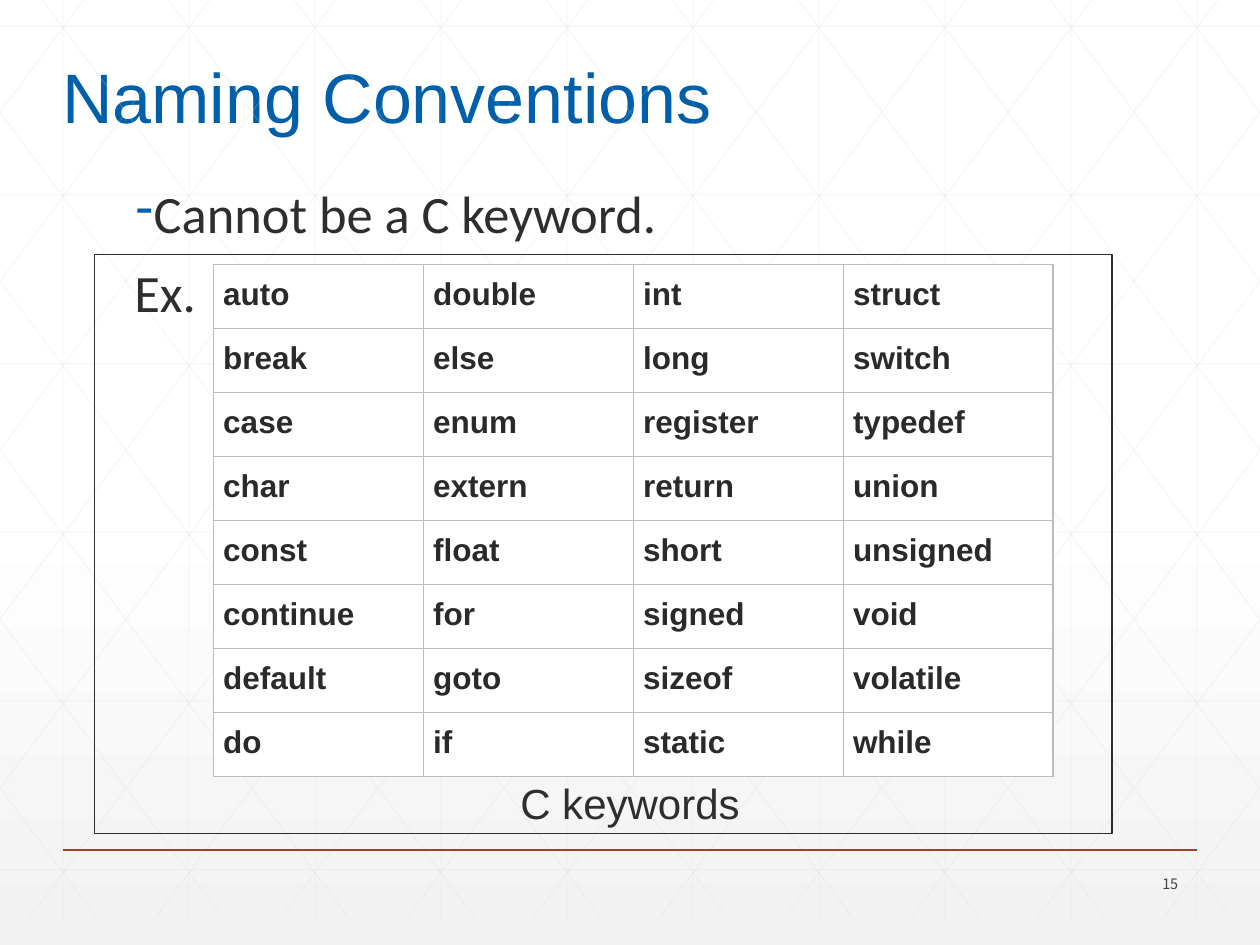
from copy import deepcopy

from lxml import etree
from pptx import Presentation
from pptx.dml.color import RGBColor
from pptx.enum.shapes import MSO_CONNECTOR, MSO_SHAPE
from pptx.enum.text import MSO_ANCHOR, MSO_AUTO_SIZE, PP_ALIGN
from pptx.oxml.ns import qn
from pptx.util import Cm, Pt

LINE, RECT = MSO_CONNECTOR.STRAIGHT, MSO_SHAPE.RECTANGLE
LEFT, CENTER, RIGHT = PP_ALIGN.LEFT, PP_ALIGN.CENTER, PP_ALIGN.RIGHT
MIDDLE, BOTTOM = MSO_ANCHOR.MIDDLE, MSO_ANCHOR.BOTTOM
GROW = MSO_AUTO_SIZE.SHAPE_TO_FIT_TEXT

WHITE = RGBColor(0xFF, 0xFF, 0xFF)
PALE = RGBColor(0xF2, 0xF2, 0xF2)
MESH = RGBColor(0xD9, 0xD9, 0xD9)
BORDER = RGBColor(0xBB, 0xBB, 0xBB)
RUST = RGBColor(0xA4, 0x3F, 0x27)
BLUE = RGBColor(0x00, 0x5F, 0xA9)
INK = RGBColor(0x2D, 0x2E, 0x2D)
DARK = RGBColor(0x2A, 0x2A, 0x2A)
GRAY = RGBColor(0x42, 0x43, 0x42)

WIDE, HIGH = 25.4, 19.05
WORDS = [
    "auto double int struct",
    "break else long switch",
    "case enum register typedef",
    "char extern return union",
    "const float short unsigned",
    "continue for signed void",
    "default goto sizeof volatile",
    "do if static while",
]


def style(para, name, size, color, bold=None):
    font = para.font
    font.name, font.size, font.bold = name, Pt(size), bold
    font.color.rgb = color


def add_line(slide, start, end, color, width, alpha=None):
    line = slide.shapes.add_connector(LINE, *map(Cm, start + end))
    line.line.color.rgb = color
    line.line.width = Pt(width)
    props = line._element.spPr
    etree.SubElement(props, qn("a:effectLst"))
    if alpha:
        tone = props.find(".//" + qn("a:srgbClr"))
        etree.SubElement(tone, qn("a:alpha"), val=str(alpha * 1000))


def add_text(slide, box, text, name, size, color, align):
    shape = slide.shapes.add_textbox(*map(Cm, box))
    frame = shape.text_frame
    frame.word_wrap = True
    frame.text = text
    for para in frame.paragraphs:
        para.alignment = align
        style(para, name, size, color)
    return frame


def add_ground(slide):
    fill = slide.background.fill
    fill.gradient()
    fill.gradient_angle = 270
    first, last = fill.gradient_stops
    first.color.rgb, last.color.rgb = WHITE, PALE
    first.position, last.position = 0, 1
    stops = slide._element.find(".//" + qn("a:gsLst"))
    middle = deepcopy(stops[0])
    middle.set("pos", "53000")
    stops.insert(1, middle)


def add_mesh(slide, box):
    left, top, width, height = box
    step, run = 2.54, 14.2
    slope = height / run

    def draw(start, end):
        add_line(slide, start, end, MESH, 0.5, 25)

    for i in range(10):
        x = left + step * (i + 0.5)
        draw((x, top), (x, top + height))
    for i in range(6):
        y = top + 1.06 + 3.4 * i
        draw((left, y), (left + width, y))
    for i in range(-5, 10):
        x = 0.46 + step * i
        a, b = max(x, 0), min(x + run, width)
        y, z = top + (a - x) * slope, top + (b - x) * slope
        draw((left + a, y), (left + b, z))
        draw((left + width - a, y), (left + width - b, z))


def add_title(slide, box, text):
    title = slide.shapes.title
    title.left, title.top, title.width, title.height = map(Cm, box)
    frame = title.text_frame
    frame.text = text
    frame.word_wrap = False
    frame.auto_size = GROW
    frame.vertical_anchor = BOTTOM
    para = frame.paragraphs[0]
    para.alignment, para.line_spacing = LEFT, 0.9
    style(para, "Arial", 40, BLUE)


def add_body(slide, box):
    shape = slide.shapes.add_textbox(*map(Cm, box))
    frame = shape.text_frame
    frame.word_wrap = True
    frame.text = "Cannot be a C keyword.\nEx."
    rule, label = frame.paragraphs
    label.space_before = Pt(9)
    for para, margin, indent in ((rule, 0.97, -0.38), (label, 0.58, 0)):
        props = para._p.get_or_add_pPr()
        props.set("marL", str(Cm(margin)))
        props.set("indent", str(Cm(indent)))
        if para is rule:
            tone = etree.SubElement(props, qn("a:buClr"))
            etree.SubElement(tone, qn("a:srgbClr"), val=str(BLUE))
            etree.SubElement(props, qn("a:buChar"), char="‐")
        style(para, "Calibri", 30, INK)


def add_edges(cell):
    props = cell._tc.get_or_add_tcPr()
    for i, side in enumerate(("lnL", "lnR", "lnT", "lnB")):
        edge = etree.Element(qn("a:" + side), w=str(Pt(0.75)))
        fill = etree.SubElement(edge, qn("a:solidFill"))
        etree.SubElement(fill, qn("a:srgbClr"), val=str(BORDER))
        props.insert(i, edge)


def add_words(slide, box):
    rows = [row.split() for row in WORDS]
    frame = slide.shapes.add_table(len(rows), len(rows[0]), *map(Cm, box))
    table = frame.table
    table.first_row = table.horz_banding = False
    for r, row in enumerate(rows):
        for c, word in enumerate(row):
            cell = table.cell(r, c)
            cell.text = word
            cell.margin_left = cell.margin_right = Cm(0.2)
            cell.margin_top = cell.margin_bottom = Cm(0.25)
            cell.fill.solid()
            cell.fill.fore_color.rgb = WHITE
            add_edges(cell)
            style(cell.text_frame.paragraphs[0], "Arial", 18, DARK, True)


def add_panel(slide, box):
    left, top, width, height = box
    add_text(slide, (left + 3.4, top + 10.41, 14.8, 1.27),
             "C keywords", "Arial", 24, INK, CENTER)
    add_words(slide, (left + 2.4, top + 0.2, 16.93, 10.33))
    frame = slide.shapes.add_shape(RECT, *map(Cm, box))
    frame.shadow.inherit = False
    frame.fill.background()
    frame.line.color.rgb = INK
    frame.line.width = Pt(0.75)


def add_foot(slide, box):
    left, top, width, height = box
    add_line(slide, (left, top), (left + width, top), RUST, 1)
    frame = add_text(slide, (left + width - 2.03, top + 0.38, 1.9, 0.61),
                     "15", "Noto Sans CJK TC", 8.2, GRAY, RIGHT)
    frame.vertical_anchor = MIDDLE


def main():
    deck = Presentation()
    deck.slide_width, deck.slide_height = Cm(WIDE), Cm(HIGH)
    slide = deck.slides.add_slide(deck.slide_layouts[5])
    add_ground(slide)
    add_mesh(slide, (0, -0.53, WIDE, HIGH))
    add_foot(slide, (1.27, 17.14, 22.86, 1))
    add_title(slide, (1, 1.12, 13.74, 1.8), "Naming Conventions")
    add_body(slide, (1.88, 3.53, 21.64, 15.5))
    add_panel(slide, (1.9, 5.13, 20.52, 11.68))
    deck.save("out.pptx")


if __name__ == "__main__":
    main()
